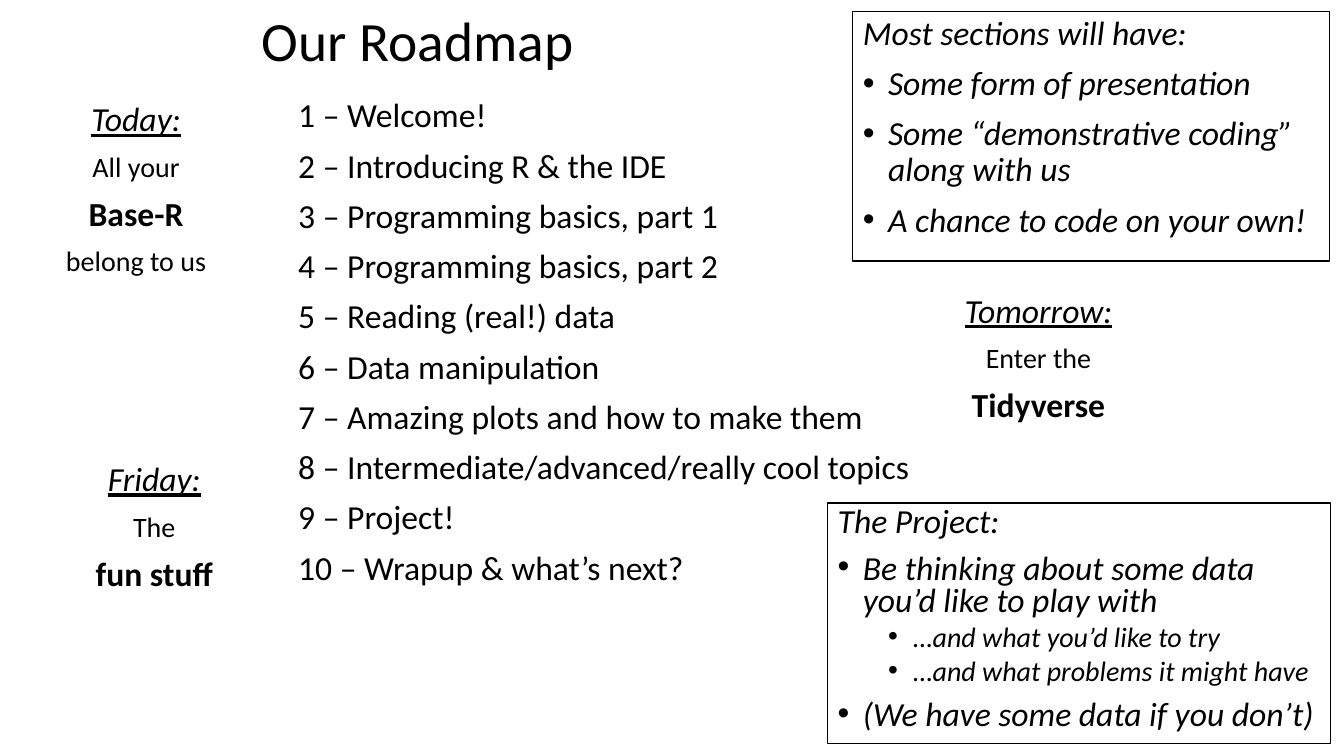
from dataclasses import dataclass

from lxml.etree import SubElement
from pptx import Presentation
from pptx.dml.color import RGBColor
from pptx.enum.shapes import MSO_SHAPE
from pptx.enum.text import MSO_ANCHOR, PP_ALIGN
from pptx.oxml.ns import qn
from pptx.util import Inches, Pt


@dataclass(frozen=True)
class Theme:
    font: str = "Calibri"
    ink: RGBColor = RGBColor(0, 0, 0)
    title: float = 39.6
    body: float = 24
    small: float = 20
    rule: float = 0.75
    gap: float = 10
    sub_gap: float = 5


THEME = Theme()

SECTIONS = [
    "Welcome!",
    "Introducing R & the IDE",
    "Programming basics, part 1",
    "Programming basics, part 2",
    "Reading (real!) data",
    "Data manipulation",
    "Amazing plots and how to make them",
    "Intermediate/advanced/really cool topics",
    "Project!",
    "Wrapup & what’s next?",
]
DAYS = [
    ((0.33, 0.97, 2.04, 1.9), "Today:", "All your", "Base-R", "belong to us"),
    ((9.28, 2.87, 2.04, 1.49), "Tomorrow:", "Enter the", "Tidyverse"),
    ((0.84, 4.54, 1.38, 1.47), "Friday:", "The", "fun stuff"),
]
FORMAT_NOTES = [
    (0, "Some form of presentation"),
    (0, "Some “demonstrative coding” along with us"),
    (0, "A chance to code on your own!"),
]
PROJECT_NOTES = [
    (0, "Be thinking about some data you’d like to play with"),
    (1, "…and what you’d like to try"),
    (1, "…and what problems it might have"),
    (0, "(We have some data if you don’t)"),
]


def add_text_area(slide, box):
    tf = slide.shapes.add_textbox(*map(Inches, box)).text_frame
    tf.word_wrap = True
    return tf


def add_line(tf, text, size=THEME.body, gap=THEME.gap, spacing=0.9,
             bold=False, italic=False, underline=False):
    first = not tf.text
    p = tf.paragraphs[0] if first else tf.add_paragraph()
    p.text = text
    p.alignment = PP_ALIGN.LEFT
    p.line_spacing = spacing
    p.space_before = Pt(0 if first else gap)
    font = p.runs[0].font
    font.name = THEME.font
    font.size = Pt(size)
    font.color.rgb = THEME.ink
    font.bold, font.italic, font.underline = bold, italic, underline
    return p


def add_bullet(p, level):
    p.level = level
    pPr = p._p.get_or_add_pPr()
    pPr.set("marL", str(Inches(0.25 + 0.5 * level)))
    pPr.set("indent", str(Inches(-0.25)))
    SubElement(pPr, qn("a:buFont")).set("typeface", "Arial")
    SubElement(pPr, qn("a:buChar")).set("char", "•")


def add_title(slide, box, text):
    tf = add_text_area(slide, box)
    tf.vertical_anchor = MSO_ANCHOR.MIDDLE
    add_line(tf, text, THEME.title)


def add_roadmap(slide, box, sections):
    tf = add_text_area(slide, box)
    for number, name in enumerate(sections, 1):
        add_line(tf, f"{number} – {name}")


def add_day(slide, box, day, lead, topic, *tail):
    tf = add_text_area(slide, box)
    add_line(tf, day, italic=True, underline=True)
    add_line(tf, lead, THEME.small)
    add_line(tf, topic, bold=True)
    for text in tail:
        add_line(tf, text, THEME.small)
    for p in tf.paragraphs:
        p.alignment = PP_ALIGN.CENTER


def add_note_box(slide, box, heading, notes, spacing):
    sp = slide.shapes.add_shape(MSO_SHAPE.RECTANGLE, *map(Inches, box))
    sp.shadow.inherit = False
    sp.fill.background()
    sp.line.color.rgb = THEME.ink
    sp.line.width = Pt(THEME.rule)
    tf = sp.text_frame
    tf.word_wrap = True
    tf.vertical_anchor = MSO_ANCHOR.TOP
    add_line(tf, heading, spacing=spacing, italic=True)
    for level, text in notes:
        size, gap = ((THEME.small, THEME.sub_gap) if level
                     else (THEME.body, THEME.gap))
        p = add_line(tf, text, size, gap, spacing, italic=True)
        add_bullet(p, level)


def main():
    prs = Presentation()
    prs.slide_width, prs.slide_height = Inches(13.33), Inches(7.5)
    s = prs.slides.add_slide(prs.slide_layouts[6])
    add_title(s, (2.5, 0.07, 3.83, 0.72), "Our Roadmap")
    add_roadmap(s, (2.86, 0.93, 6.3, 5.01), SECTIONS)
    for box, *lines in DAYS:
        add_day(s, box, *lines)
    add_note_box(s, (8.46, 0.11, 4.73, 2.48), "Most sections will have:",
                 FORMAT_NOTES, 0.9)
    add_note_box(s, (8.21, 4.99, 4.99, 2.39), "The Project:",
                 PROJECT_NOTES, 0.8)
    prs.save("out.pptx")


if __name__ == "__main__":
    main()
